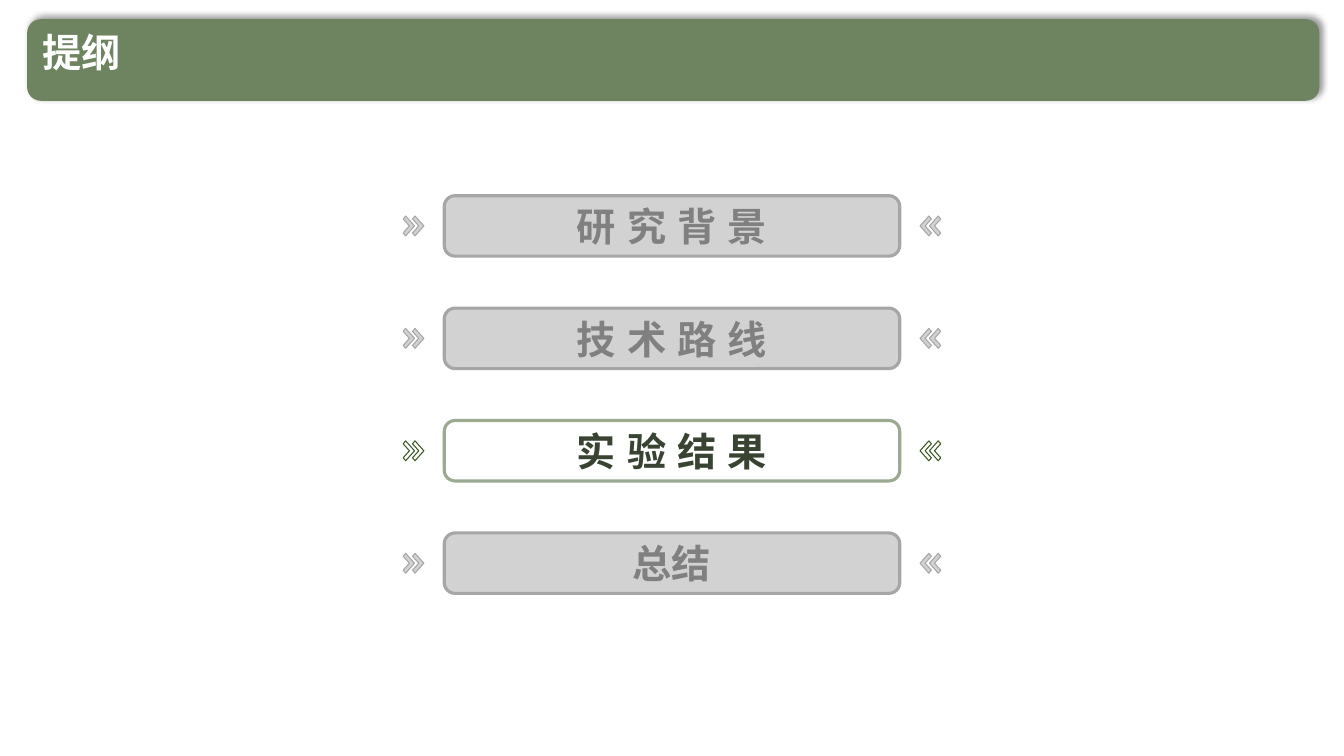
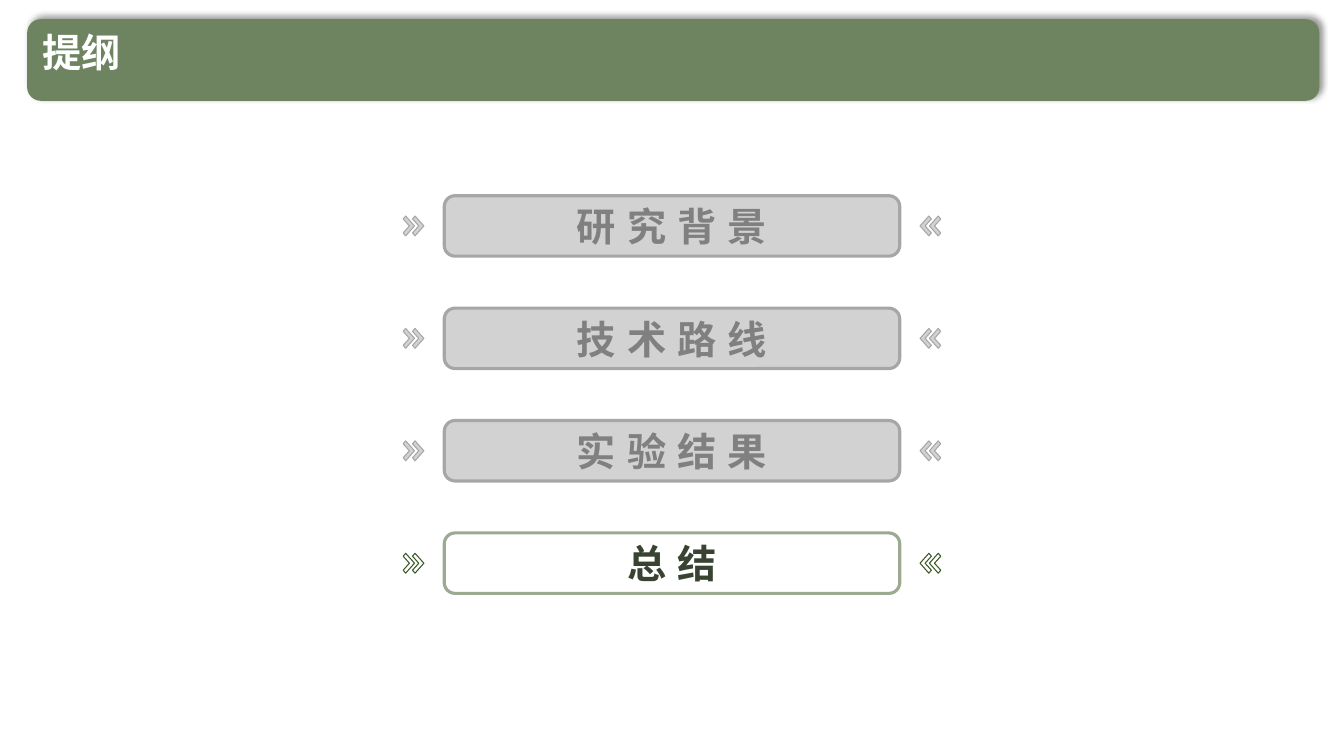
from pptx import Presentation
from pptx.dml.color import RGBColor
from pptx.enum.shapes import MSO_SHAPE
from pptx.enum.text import MSO_ANCHOR, PP_ALIGN
from pptx.oxml import parse_xml
from pptx.oxml.ns import nsdecls, qn
from pptx.util import Pt
from lxml.etree import SubElement

# Content: each topic is its spaced characters, then its unspaced ones
TITLE = "提纲"
TOPICS = [("研究背", "景"), ("技术路", "线"), ("实验结果", ""), ("", "总结")]
ACTIVE_TOPICS = [2, 3]  # one page for each

# Shared style
FONT = "Noto Sans CJK SC"
TEXT_SIZE = 28
LETTER_SPACING = 8
WHITE = RGBColor(0xFF, 0xFF, 0xFF)
BAND_GREEN = RGBColor(0x6E, 0x83, 0x60)
GREY = RGBColor(0xA6, 0xA6, 0xA6)
GREY_TEXT = RGBColor(0x80, 0x80, 0x80)
BORDER_GREEN = RGBColor(0x9B, 0xAA, 0x90)
CHEVRON_GREEN = RGBColor(0x38, 0x57, 0x23)
DARK_GREEN = RGBColor(0x38, 0x43, 0x31)

# Layout, in points
PAGE_WIDTH, PAGE_HEIGHT = 960, 540
BAND = (19.4, 13.7, 923, 58.3)
TITLE_BOX = (23, 20.2, 797, 44.6)
PILL_WIDTH, PILL_HEIGHT = 325.4, 43.2
FIRST_CENTER, ROW_PITCH = 161.4, 80.3
CHEVRON_LEFT, CHEVRON_STEP = 288, 6.7
CHEVRON = [(1.8, -7.1), (0, -5), (4.5, 0), (0, 5), (1.8, 7.1), (8.1, 0)]


def add_span(para, text, color, spacing=0):
    span = para.add_run()
    span.text = text
    span.font.name = FONT
    span.font.size = Pt(TEXT_SIZE)
    span.font.bold = True
    span.font.color.rgb = color
    properties = span.font._element
    SubElement(properties, qn("a:ea"), typeface=FONT)
    if spacing:
        properties.set("spc", str(spacing * 100))


def paint(shape, fill, line, width):
    """Fill with half-transparent colour, or leave open when fill is None."""
    shape.shadow.inherit = False
    if fill is None:
        shape.fill.background()
    else:
        shape.fill.solid()
        shape.fill.fore_color.rgb = fill
        color = shape._element.spPr.find(qn("a:solidFill"))[0]
        SubElement(color, qn("a:alpha"), val="50000")
    shape.line.color.rgb = line
    shape.line.width = Pt(width)


def add_header(page):
    # Band with its shadow
    band = page.shapes.add_shape(MSO_SHAPE.ROUNDED_RECTANGLE, *map(Pt, BAND))
    band.fill.solid()
    band.fill.fore_color.rgb = BAND_GREEN
    band.line.fill.background()
    band._element.spPr.append(parse_xml(
        f'<a:effectLst {nsdecls("a")}><a:outerShdw blurRad="{Pt(4)}" '
        f'dist="{Pt(3)}" dir="18900000" algn="bl" rotWithShape="0">'
        '<a:srgbClr val="000000"><a:alpha val="40000"/></a:srgbClr>'
        '</a:outerShdw></a:effectLst>'))
    # Title
    box = page.shapes.add_textbox(*map(Pt, TITLE_BOX))
    box.text_frame.word_wrap = True
    para = box.text_frame.paragraphs[0]
    para.line_spacing = 0.9
    add_span(para, TITLE, WHITE)


def add_chevron(page, left, center, mirrored, fill, line):
    points = [(left + x, center + y) for x, y in CHEVRON]
    if mirrored:
        points = [(PAGE_WIDTH - x, y) for x, y in points]
    corners = [(Pt(x), Pt(y)) for x, y in points]
    builder = page.shapes.build_freeform(*corners[0])
    builder.add_line_segments(corners[1:], close=True)
    paint(builder.convert_to_shape(), fill, line, 0.75)


def add_topic(page, row, active):
    center = FIRST_CENTER + row * ROW_PITCH
    fill = None if active else GREY

    # Double chevrons on both sides
    for mirrored in (False, True):
        for step in range(2):
            add_chevron(page, CHEVRON_LEFT + step * CHEVRON_STEP, center,
                        mirrored, fill, CHEVRON_GREEN if active else GREY)

    # Pill with the topic
    pill = page.shapes.add_shape(
        MSO_SHAPE.ROUNDED_RECTANGLE, Pt((PAGE_WIDTH - PILL_WIDTH) / 2),
        Pt(center - PILL_HEIGHT / 2), Pt(PILL_WIDTH), Pt(PILL_HEIGHT))
    pill.adjustments[0] = 0.18
    paint(pill, fill, BORDER_GREEN if active else GREY, 2.25)
    frame = pill.text_frame
    frame.margin_top = frame.margin_bottom = 0
    frame.vertical_anchor = MSO_ANCHOR.MIDDLE
    para = frame.paragraphs[0]
    para.alignment = PP_ALIGN.CENTER
    spaced, plain = TOPICS[row]
    if active:
        spaced, plain = spaced + plain, ""
    color = DARK_GREEN if active else GREY_TEXT
    for text, spacing in ((spaced, LETTER_SPACING), (plain, 0)):
        if text:
            add_span(para, text, color, spacing)


def main():
    deck = Presentation()
    deck.slide_width, deck.slide_height = Pt(PAGE_WIDTH), Pt(PAGE_HEIGHT)
    for active_row in ACTIVE_TOPICS:
        page = deck.slides.add_slide(deck.slide_layouts[6])
        add_header(page)
        for row in range(len(TOPICS)):
            add_topic(page, row, row == active_row)
    deck.save("out.pptx")


if __name__ == "__main__":
    main()
